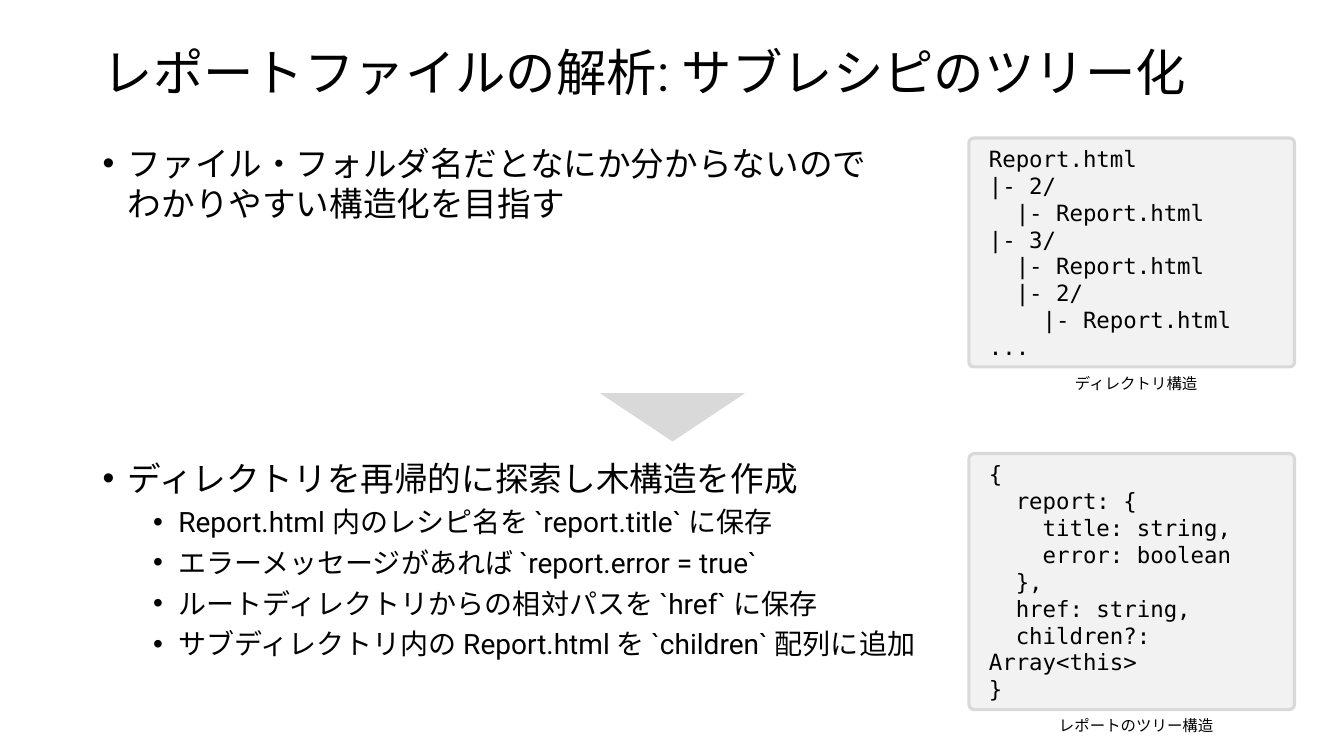
from dataclasses import dataclass

from lxml import etree
from pptx import Presentation
from pptx.dml.color import RGBColor
from pptx.enum.shapes import MSO_SHAPE
from pptx.enum.text import MSO_ANCHOR, PP_ALIGN
from pptx.oxml.ns import qn
from pptx.util import Inches, Pt

ROUND_RECT = MSO_SHAPE.ROUNDED_RECTANGLE
TRIANGLE = MSO_SHAPE.ISOSCELES_TRIANGLE
TOP, MIDDLE = MSO_ANCHOR.TOP, MSO_ANCHOR.MIDDLE
LEFT, CENTER = PP_ALIGN.LEFT, PP_ALIGN.CENTER

COLORS = {"text": "000000", "panel": "F2F2F2", "edge": "D9D9D9"}
SANS, MONO = "Roboto", "DejaVu Sans Mono"
MARGIN, CONTENT_WIDTH = 0.92, 11.5
PANEL_LEFT, PANEL_WIDTH = 9.61, 3.23


@dataclass
class BulletList:
    top: float
    height: float
    heading: str
    items: list[str]


@dataclass
class CodePanel:
    top: float
    height: float
    code: str
    caption: str


BULLET_LISTS = [
    BulletList(1.37, 1.52, "ファイル・フォルダ名だとなにか分からないので\nわかりやすい構造化を目指す", []),
    BulletList(4.49, 2.88, "ディレクトリを再帰的に探索し木構造を作成", [
        "Report.html 内のレシピ名を `report.title` に保存",
        "エラーメッセージがあれば `report.error = true`",
        "ルートディレクトリからの相対パスを `href` に保存",
        "サブディレクトリ内の Report.html を `children` 配列に追加",
    ]),
]

DIRECTORY_CODE = """Report.html
|- 2/
  |- Report.html
|- 3/
  |- Report.html
  |- 2/
    |- Report.html
..."""

TREE_CODE = """{
  report: {
    title: string,
    error: boolean
  },
  href: string,
  children?: Array<this>
}"""

CODE_PANELS = [
    CodePanel(1.37, 2.27, DIRECTORY_CODE, "ディレクトリ構造"),
    CodePanel(4.5, 2.54, TREE_CODE, "レポートのツリー構造"),
]


def color(name: str) -> RGBColor:
    return RGBColor.from_string(COLORS[name])


def format_paragraph(p, size: float, font: str = SANS) -> None:
    for r in p.runs:
        r.font.size = Pt(size)
        r.font.name = font
        r.font.color.rgb = color("text")


def add_text(slide, left: float, top: float, width: float, height: float, text: str,
             size: float, font: str = SANS, anchor=TOP, align=LEFT, wrap: bool = True):
    box = slide.shapes.add_textbox(Inches(left), Inches(top), Inches(width), Inches(height))
    tf = box.text_frame
    tf.word_wrap = wrap
    tf.vertical_anchor = anchor
    tf.text = text
    for p in tf.paragraphs:
        p.alignment = align
        format_paragraph(p, size, font)
    return tf


def add_shape(slide, kind, left: float, top: float, width: float, height: float, fill: str):
    s = slide.shapes.add_shape(kind, Inches(left), Inches(top), Inches(width), Inches(height))
    s.shadow.inherit = False
    s.fill.solid()
    s.fill.fore_color.rgb = color(fill)
    s.line.fill.background()
    return s


def set_bullet(p, level: int) -> None:
    p.level = level
    p.space_before = Pt(5 if level else 10)
    pPr = p._p.get_or_add_pPr()
    pPr.set("marL", str(Inches(0.25 + 0.5 * level)))
    pPr.set("indent", str(Inches(-0.25)))
    etree.SubElement(pPr, qn("a:buFont")).set("typeface", "Arial")
    etree.SubElement(pPr, qn("a:buChar")).set("char", "•")


def add_bullets(slide, bullets: BulletList) -> None:
    tf = add_text(slide, MARGIN, bullets.top, CONTENT_WIDTH, bullets.height, "", 24)
    p = tf.paragraphs[0]
    p.text = bullets.heading
    format_paragraph(p, 24)
    set_bullet(p, 0)
    for item in bullets.items:
        p = tf.add_paragraph()
        p.text = item
        format_paragraph(p, 20)
        set_bullet(p, 1)


def add_code_panel(slide, panel: CodePanel) -> None:
    s = add_shape(slide, ROUND_RECT, PANEL_LEFT, panel.top, PANEL_WIDTH, panel.height, "panel")
    s.adjustments[0] = 0.021
    s.line.color.rgb = color("edge")
    s.line.width = Pt(2.25)
    add_text(slide, PANEL_LEFT + 0.1, panel.top + 0.02, PANEL_WIDTH - 0.1, 2.26,
             panel.code, 16, MONO)
    add_text(slide, PANEL_LEFT + 0.79, panel.top + panel.height + 0.02, 1.74, 0.29,
             panel.caption, 11, align=CENTER, wrap=False)


def main() -> None:
    prs = Presentation()
    prs.slide_width, prs.slide_height = Inches(13.33), Inches(7.5)
    slide = prs.slides.add_slide(prs.slide_layouts[6])

    # Title
    tf = add_text(slide, MARGIN, 0.35, CONTENT_WIDTH, 0.79,
                  "レポートファイルの解析: サブレシピのツリー化", 36, anchor=MIDDLE)
    tf.paragraphs[0].line_spacing = 0.9

    # Explanations
    for bullets in BULLET_LISTS:
        add_bullets(slide, bullets)

    # Code panels with captions
    for panel in CODE_PANELS:
        add_code_panel(slide, panel)

    # Arrow from the problem to the solution
    arrow = add_shape(slide, TRIANGLE, 5.95, 3.9, 1.44, 0.48, "edge")
    arrow.rotation = 180

    prs.save("out.pptx")


if __name__ == "__main__":
    main()
